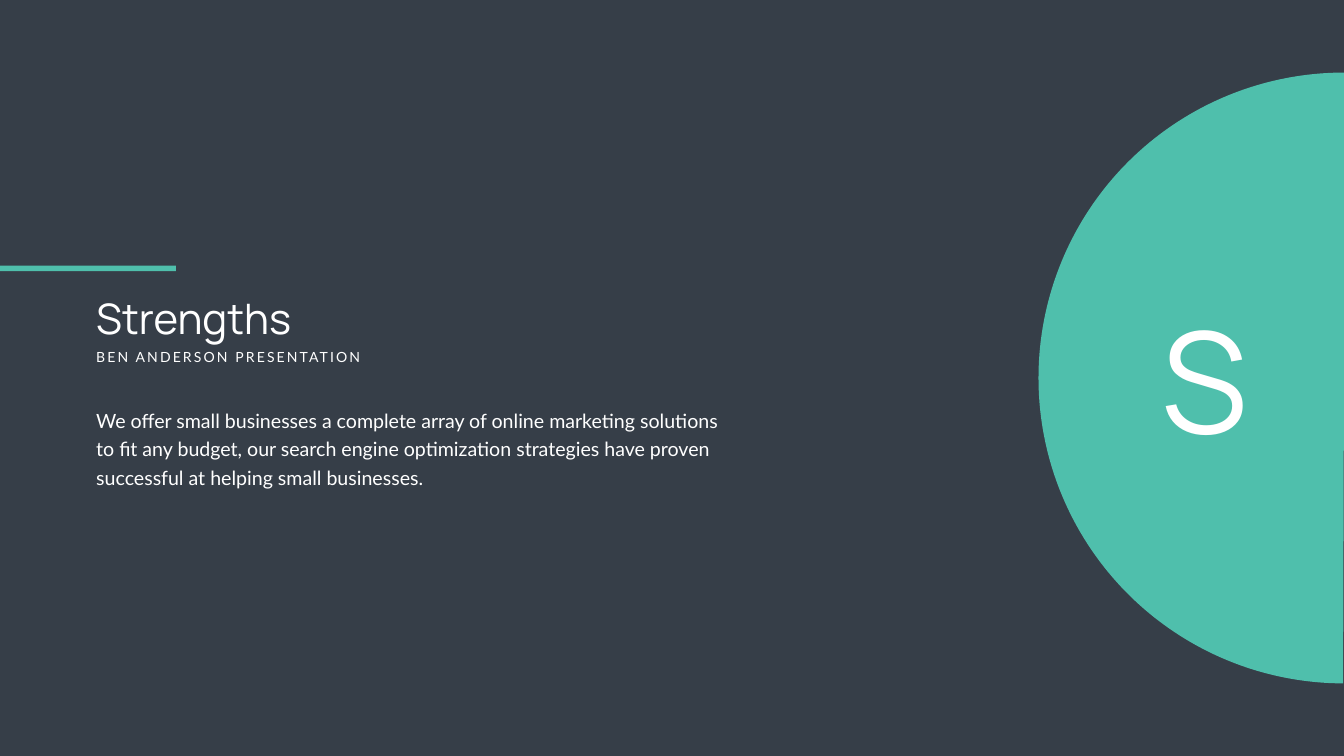
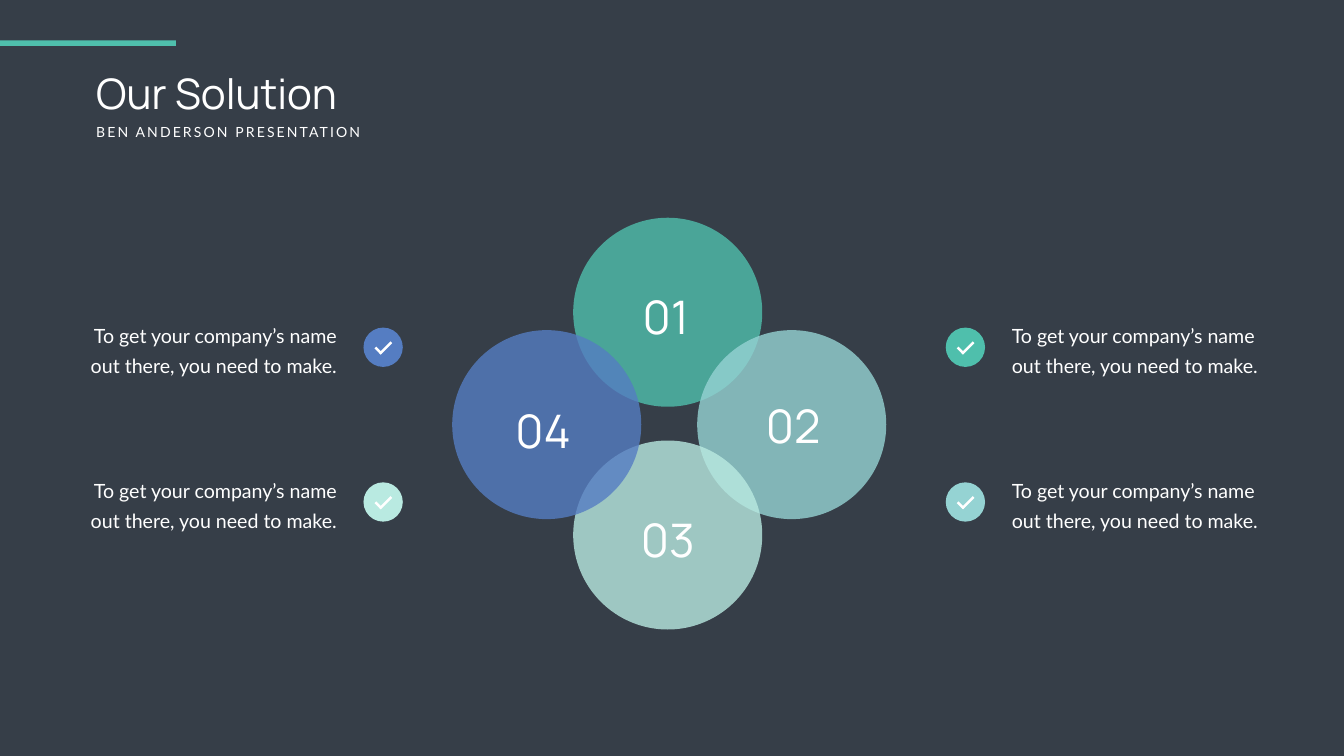
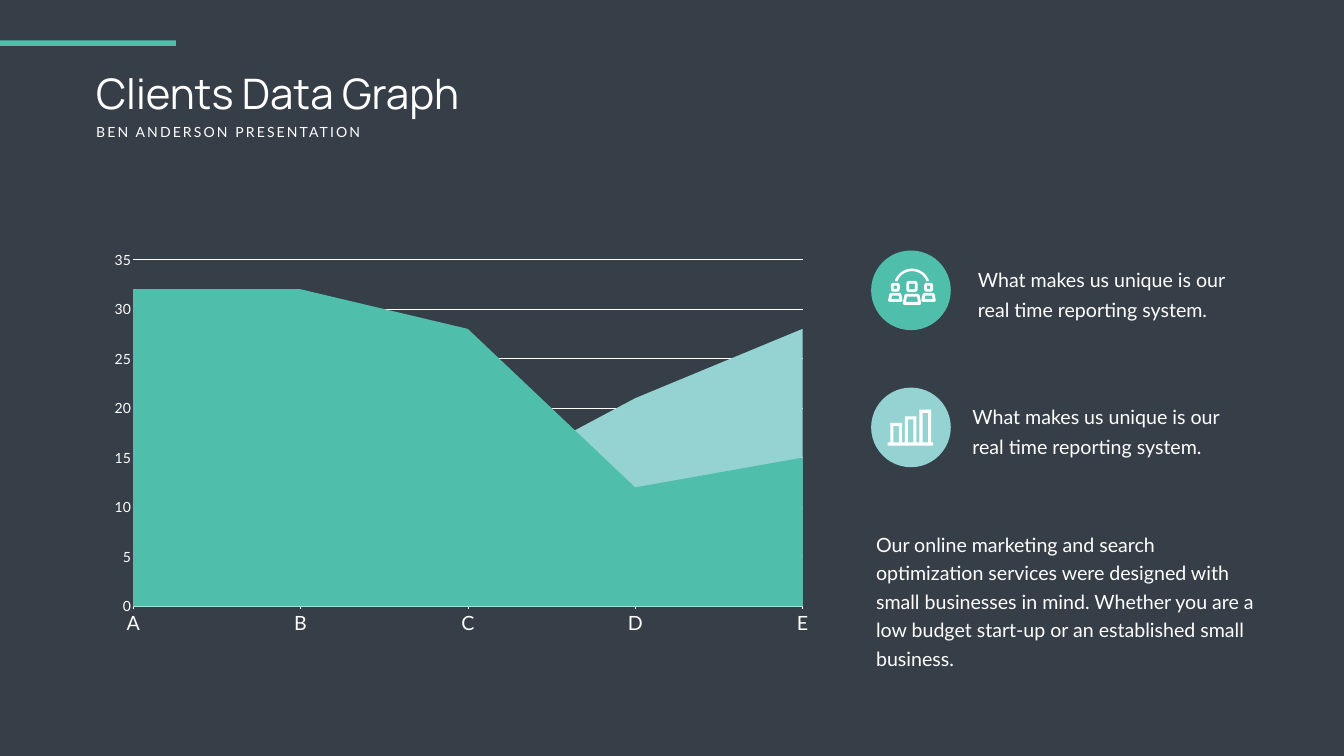
"""Build three dark SWOT and data slides on a grid of square cells, fifteen rows high."""
import math
from dataclasses import dataclass
from typing import Any, NamedTuple, Optional

import lxml.etree
import pptx
import pptx.chart.data
import pptx.dml.color
import pptx.enum.chart
import pptx.enum.shapes
import pptx.enum.text
import pptx.oxml.ns
import pptx.util

RGBColor = pptx.dml.color.RGBColor
SHAPE = pptx.enum.shapes.MSO_SHAPE
ALIGN = pptx.enum.text.PP_ALIGN
qn = pptx.oxml.ns.qn

DARK = RGBColor(0x36, 0x3E, 0x48)
WHITE = RGBColor(0xFF, 0xFF, 0xFF)
GREEN = RGBColor(0x4F, 0xBF, 0xAC)
AQUA = RGBColor(0x95, 0xD3, 0xD3)
MINT = RGBColor(0xB9, 0xEA, 0xE1)
BLUE = RGBColor(0x55, 0x7D, 0xC2)

HEADING, BODY = "Manrope", "Lato"
COLUMNS, ROWS = 26.66, 15
CELL = pptx.util.Inches(1)
ICON_LINE = 4

Point = tuple[float, float]


class Box(NamedTuple):
    left: float
    top: float
    width: float
    height: float

    def emu(self) -> tuple[int, ...]:
        return tuple(round(v * CELL) for v in self)


@dataclass(frozen=True)
class Style:
    size: float
    font: str = BODY
    align: Any = ALIGN.LEFT
    leading: Optional[float] = None
    tracking: float = 0
    padding: tuple[float, float] = (0.1, 0.05)


TITLE = Style(60, HEADING)
SUBTITLE = Style(20, tracking=3)
LETTER = Style(200, HEADING, ALIGN.CENTER)
NUMBER = Style(66, HEADING, ALIGN.CENTER)
PARAGRAPH = Style(28, leading=40.8)
NOTE = Style(28, leading=43, padding=(0.24, 0.12))
NOTE_RIGHT = Style(28, align=ALIGN.RIGHT, leading=43, padding=(0.24, 0.12))


class Petal(NamedTuple):
    number: str
    color: RGBColor
    left: float
    top: float
    label_left: float
    label_top: float


class Check(NamedTuple):
    color: RGBColor
    left: float
    text_left: float
    text_top: float
    style: Style


class Person(NamedTuple):
    center: float
    head_top: float
    head: float
    body_top: float
    body_width: float
    body_height: float


class Feature(NamedTuple):
    color: RGBColor
    top: float
    text_left: float


PETAL_SIZE = 3.75
PETALS = (
    Petal("01", GREEN, 11.37, 4.32, 12.21, 5.67),
    Petal("02", AQUA, 13.83, 6.55, 14.74, 7.83),
    Petal("03", MINT, 11.37, 8.74, 12.25, 10.09),
    Petal("04", BLUE, 8.97, 6.55, 9.78, 7.93),
)
CHECKS = (
    Check(GREEN, 18.76, 19.83, 6.18, NOTE),
    Check(AQUA, 18.76, 19.83, 9.25, NOTE),
    Check(BLUE, 7.21, 1.5, 6.18, NOTE_RIGHT),
    Check(MINT, 7.21, 1.5, 9.25, NOTE_RIGHT),
)
PEOPLE = (
    Person(18.09, 5.6, 0.17, 5.86, 0.31, 0.16),
    Person(17.76, 5.64, 0.12, 5.84, 0.23, 0.12),
    Person(18.42, 5.64, 0.12, 5.84, 0.23, 0.12),
)
FEATURES = (Feature(GREEN, 4.97, 19.16), Feature(AQUA, 7.69, 19.05))
CHART = Box(1.99, 4.81, 14.33, 7.94)
PLOT = Box(2.64, 5.15, 13.28, 6.88)


def add_text(s: Any, text: str, box: Box, style: Style) -> None:
    tf = s.shapes.add_textbox(*box.emu()).text_frame
    tf.word_wrap = True
    tf.auto_size = pptx.enum.text.MSO_AUTO_SIZE.SHAPE_TO_FIT_TEXT
    tf.margin_left = tf.margin_right = round(style.padding[0] * CELL)
    tf.margin_top = tf.margin_bottom = round(style.padding[1] * CELL)
    tf.text = text
    p = tf.paragraphs[0]
    p.alignment = style.align
    if style.leading:
        p.line_spacing = pptx.util.Pt(style.leading)
    r = p.runs[0]
    set_font(r.font, style.size, style.font)
    if style.tracking:
        r._r.get_or_add_rPr().set("spc", str(round(style.tracking * 100)))


def set_font(font: Any, size: float, name: str = BODY) -> None:
    font.size = pptx.util.Pt(size)
    font.name = name
    font.color.rgb = WHITE


def fill_plain(sp: Any, color: RGBColor) -> None:
    sp.shadow.inherit = False
    sp.fill.solid()
    sp.fill.fore_color.rgb = color
    sp.line.fill.background()


def add_filled(s: Any, kind: Any, box: Box, color: RGBColor, rotation: float = 0,
               opacity: int = 100) -> Any:
    sp = s.shapes.add_shape(kind, *box.emu())
    fill_plain(sp, color)
    sp.rotation = rotation
    if opacity < 100:
        rgb = sp._element.spPr.find(qn("a:solidFill"))[0]
        lxml.etree.SubElement(rgb, qn("a:alpha")).set("val", str(opacity * 1000))
    return sp


def add_outline(s: Any, kind: Any, box: Box, adjustment: float) -> None:
    sp = s.shapes.add_shape(kind, *box.emu())
    sp.shadow.inherit = False
    sp.fill.background()
    sp.line.color.rgb = WHITE
    sp.line.width = pptx.util.Pt(ICON_LINE)
    lxml.etree.SubElement(sp.line._get_or_add_ln(), qn("a:round"))
    sp.adjustments[0] = adjustment


def add_freeform(s: Any, *contours: list[Point]) -> None:
    builder = None
    for contour in contours:
        start, *rest = [(round(x * CELL), round(y * CELL)) for x, y in contour]
        if builder is None:
            builder = s.shapes.build_freeform(*start)
        else:
            builder.move_to(*start)
        builder.add_line_segments(rest, close=True)
    fill_plain(builder.convert_to_shape(), WHITE)


def add_header(s: Any, title: str, top: float = 0.8) -> None:
    add_filled(s, SHAPE.RECTANGLE, Box(0, top, 3.49, 0.11), GREEN)
    add_text(s, title, Box(1.81, top + 0.49, 10.8, 1.11), TITLE)
    add_text(s, "BEN ANDERSON PRESENTATION", Box(1.81, top + 1.6, 5.85, 0.44), SUBTITLE)


def add_check(s: Any, check: Check) -> None:
    left, top = check.left, check.text_top + 0.32
    add_text(s, "To get your company’s name out there, you need to make.",
             Box(check.text_left, check.text_top, 5.42, 1.39), check.style)
    add_filled(s, SHAPE.OVAL, Box(left, top, 0.78, 0.78), check.color)
    add_filled(s, SHAPE.RECTANGLE, Box(left + 0.21, top + 0.43, 0.17, 0.05), WHITE, 45)
    add_filled(s, SHAPE.RECTANGLE, Box(left + 0.28, top + 0.38, 0.32, 0.05), WHITE, 315)


def arc_points(radius: float, angles: range) -> list[Point]:
    return [(18.09 + radius * math.cos(math.radians(a)),
             5.69 + radius * math.sin(math.radians(a))) for a in angles]


def add_people_icon(s: Any) -> None:
    for person in PEOPLE:
        add_outline(s, SHAPE.ROUNDED_RECTANGLE,
                    Box(person.center - person.head / 2, person.head_top, person.head, person.head), 0.2)
        add_outline(s, SHAPE.TRAPEZOID,
                    Box(person.center - person.body_width / 2, person.body_top,
                        person.body_width, person.body_height), 0.2)
    add_freeform(s, arc_points(0.36, range(200, 341, 5)) + arc_points(0.31, range(340, 199, -5)))


def add_bars_icon(s: Any) -> None:
    floor, bottom, left, right, wall = 8.78, 8.84, 17.61, 18.51, 0.06
    skyline, holes = [(left, bottom), (left, floor)], []
    for i in range(3):
        x1, top = 17.66 + 0.29 * i, 8.39 - 0.13 * i
        x2 = x1 + 0.23
        skyline += [(x1, floor), (x1, top), (x2, top), (x2, floor)]
        holes.append([(x1 + wall, floor), (x2 - wall, floor),
                      (x2 - wall, top + wall), (x1 + wall, top + wall)])
    skyline += [(right, floor), (right, bottom)]
    add_freeform(s, skyline, *holes)


def fix_plot_area(chart: Any) -> None:
    area = chart._chartSpace.chart.plotArea
    for old in area.findall(qn("c:layout")):
        area.remove(old)
    layout = lxml.etree.Element(qn("c:layout"))
    manual = lxml.etree.SubElement(layout, qn("c:manualLayout"))
    settings = {
        "layoutTarget": "inner", "xMode": "edge", "yMode": "edge",
        "x": (PLOT.left - CHART.left) / CHART.width,
        "y": (PLOT.top - CHART.top) / CHART.height,
        "w": PLOT.width / CHART.width,
        "h": PLOT.height / CHART.height,
    }
    for name, value in settings.items():
        lxml.etree.SubElement(manual, qn(f"c:{name}")).set("val", str(value))
    area.insert(0, layout)
    for crossing in area.iter(qn("c:crossBetween")):
        crossing.set("val", "midCat")


def add_area_chart(s: Any) -> None:
    data = pptx.chart.data.CategoryChartData()
    data.categories = list("ABCDE")
    data.add_series("Series 1", (32, 32, 28, 12, 15))
    data.add_series("Series 2", (12, 12, 12, 21, 28))
    kind = pptx.enum.chart.XL_CHART_TYPE.AREA
    chart = s.shapes.add_chart(kind, *CHART.emu(), data).chart
    chart.has_legend = chart.has_title = False
    set_font(chart.font, 28)
    for series, color in zip(chart.plots[0].series, (GREEN, AQUA)):
        series.format.fill.solid()
        series.format.fill.fore_color.rgb = color
        series.format.line.fill.background()

    tick = pptx.enum.chart.XL_TICK_MARK
    cat, val = chart.category_axis, chart.value_axis
    set_font(cat.tick_labels.font, 28)
    set_font(val.tick_labels.font, 20)
    cat.has_major_gridlines, val.has_major_gridlines = False, True
    cat.major_tick_mark, val.major_tick_mark = tick.OUTSIDE, tick.NONE
    cat.minor_tick_mark = val.minor_tick_mark = tick.NONE
    val.minimum_scale, val.maximum_scale, val.major_unit = 0, 35, 5
    val.format.line.fill.background()
    for line in (cat.format.line, val.major_gridlines.format.line):
        line.color.rgb = WHITE
        line.width = pptx.util.Pt(0.75)
    fix_plot_area(chart)


def build_strengths(s: Any) -> None:
    sp = add_filled(s, SHAPE.CHORD, Box(20.6, 1.44, 12.12, 12.12), GREEN, 45)
    sp.adjustments[0], sp.adjustments[1] = 27.1, 135.09
    add_text(s, "S", Box(22.67, 5.77, 2.46, 3.47), LETTER)
    add_header(s, "Strengths", 5.27)
    add_text(s, "We offer small businesses a complete array of online marketing solutions to fit "
             "any budget, our search engine optimization strategies have proven successful at "
             "helping small businesses.", Box(1.81, 7.96, 12.71, 1.77), PARAGRAPH)


def build_solution(s: Any) -> None:
    add_header(s, "Our Solution")
    for petal in PETALS:
        add_filled(s, SHAPE.OVAL, Box(petal.left, petal.top, PETAL_SIZE, PETAL_SIZE),
                   petal.color, opacity=80)
    for petal in PETALS:
        add_text(s, petal.number, Box(petal.label_left, petal.label_top, 1.99, 1.21), NUMBER)
    for check in CHECKS:
        add_check(s, check)


def build_data_graph(s: Any) -> None:
    add_header(s, "Clients Data Graph")
    add_area_chart(s)
    for feature in FEATURES:
        add_filled(s, SHAPE.OVAL, Box(17.28, feature.top, 1.58, 1.58), feature.color)
        add_text(s, "What makes us unique is our real time reporting system.",
                 Box(feature.text_left, feature.top + 0.09, 5.5, 1.39), NOTE)
    add_people_icon(s)
    add_bars_icon(s)
    add_text(s, "Our online marketing and search optimization services were designed with small "
             "businesses in mind. Whether you are a low budget start-up or an established small "
             "business.", Box(17.28, 10.42, 7.86, 2.34), PARAGRAPH)


def main() -> None:
    prs = pptx.Presentation()
    prs.slide_width, prs.slide_height = round(COLUMNS * CELL), ROWS * CELL
    for build in (build_strengths, build_solution, build_data_graph):
        s = prs.slides.add_slide(prs.slide_layouts[6])
        s.background.fill.solid()
        s.background.fill.fore_color.rgb = DARK
        build(s)
    prs.save("out.pptx")


if __name__ == "__main__":
    main()
